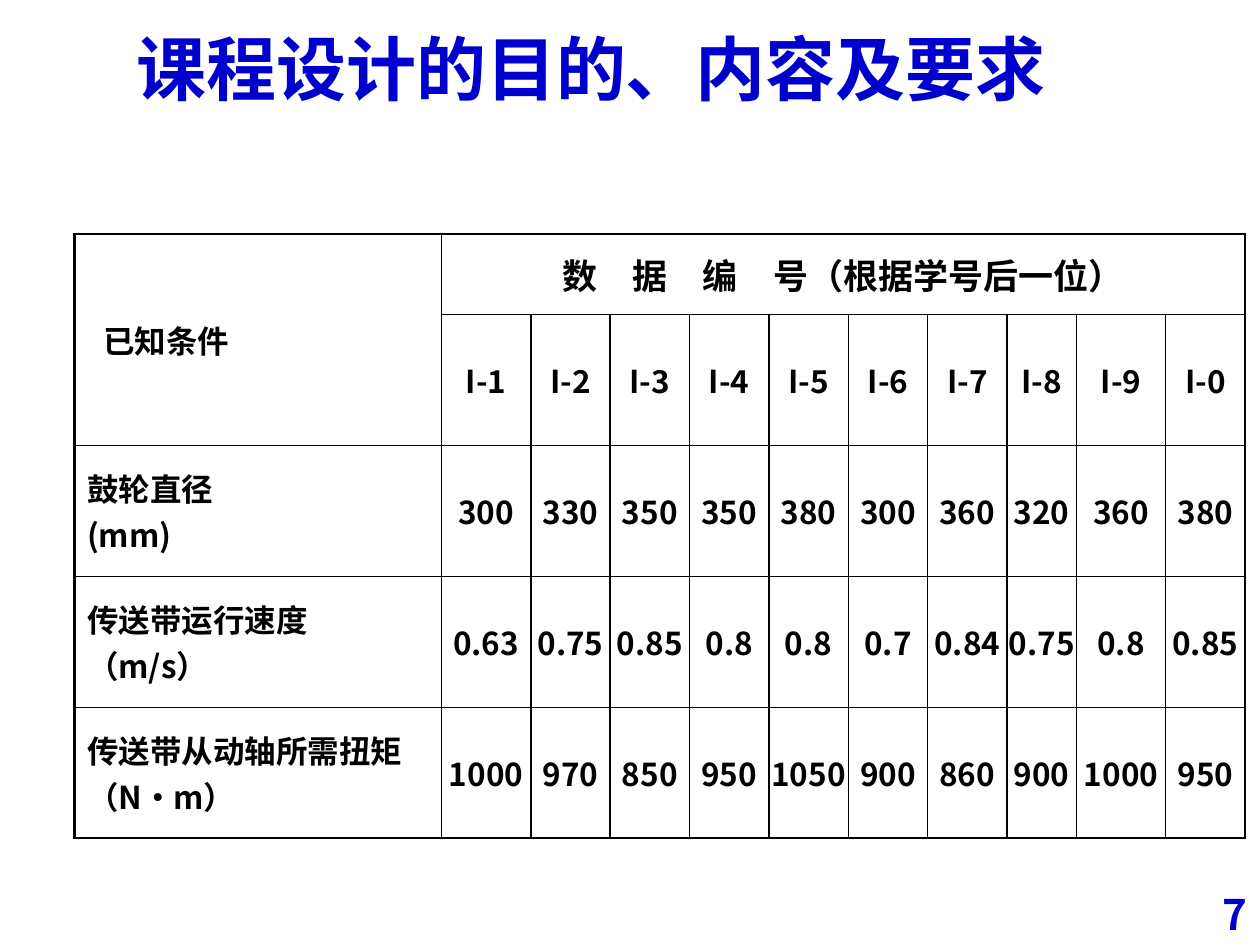
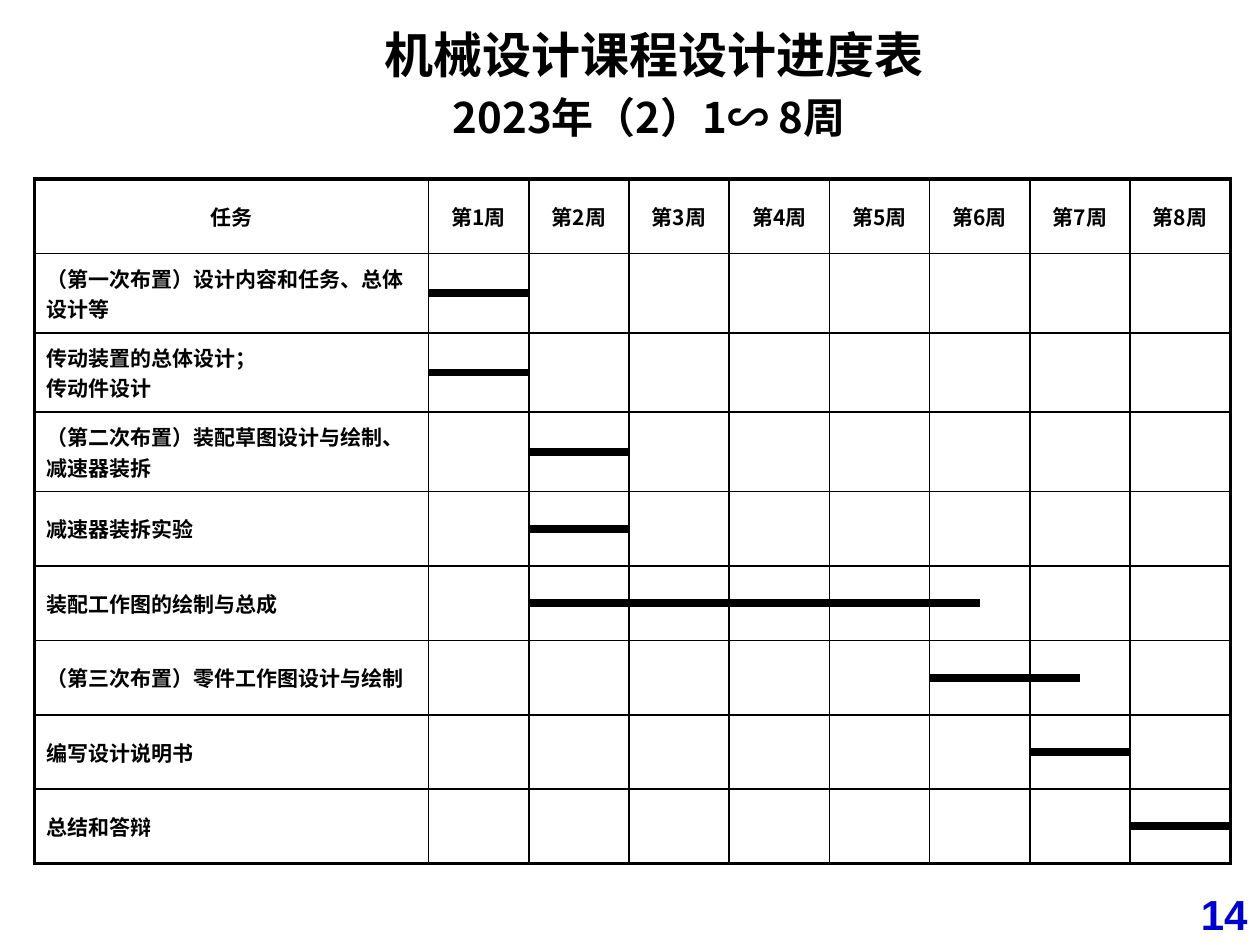
from lxml.etree import SubElement
from pptx import Presentation
from pptx.dml.color import RGBColor
from pptx.enum.shapes import MSO_CONNECTOR
from pptx.enum.text import MSO_ANCHOR, MSO_AUTO_SIZE, PP_ALIGN
from pptx.oxml.ns import qn
from pptx.util import Cm, Pt

# Shared look
FONT = "Noto Sans CJK SC"
BLUE, BLACK = "0000CC", "000000"
rgb = RGBColor.from_string


def add_run(paragraph, text, size, color=BLACK, font=FONT):
    run = paragraph.add_run()
    run.text = text
    run.font.size = Pt(size)
    run.font.bold = True
    run.font.color.rgb = rgb(color)
    run.font.name = font
    SubElement(run.font._element, qn("a:ea"), typeface=font)


def add_grid(slide, left, top, widths, heights, rows, size, outer, merges=()):
    """Draw a ruled table: labels on the left, centred values, a heavier frame."""
    frame = slide.shapes.add_table(len(heights), len(widths), Cm(left), Cm(top),
                                   Cm(sum(widths)), Cm(sum(heights)))
    table = frame.table
    table.first_row = table.horz_banding = False
    for column, width in zip(table.columns, widths):
        column.width = Cm(width)
    for row, height in zip(table.rows, heights):
        row.height = Cm(height)
    for start, end in merges:
        table.cell(*start).merge(table.cell(*end))

    for r, texts in enumerate(rows):
        for c, text in enumerate(texts):
            cell = table.cell(r, c)
            on_frame = {
                "L": c == 0,
                "R": c + cell.span_width == len(widths),
                "T": r == 0,
                "B": r + cell.span_height == len(heights),
            }
            properties = cell._tc.get_or_add_tcPr()
            for side, heavy in on_frame.items():
                line = SubElement(properties, qn(f"a:ln{side}"),
                                  w=str(Pt(outer if heavy else 1)))
                fill = SubElement(line, qn("a:solidFill"))
                SubElement(fill, qn("a:srgbClr"), val=BLACK)
            cell.fill.background()
            cell.vertical_anchor = MSO_ANCHOR.MIDDLE
            if c > 0:
                cell.margin_left = cell.margin_right = 0
            if not text:
                continue
            for i, line_text in enumerate(text.split("\n")):
                text_frame = cell.text_frame
                paragraph = text_frame.add_paragraph() if i else text_frame.paragraphs[0]
                paragraph.alignment = PP_ALIGN.CENTER if c else PP_ALIGN.LEFT
                add_run(paragraph, line_text, size)
    return table


presentation = Presentation()
presentation.slide_width, presentation.slide_height = Cm(25.4), Cm(19.05)
title_only = presentation.slide_layouts[5]

# Titles and page numbers: box, anchor, wrap, line spacing, lines, page, page font
headings = [
    ((1.12, 0.64, 21.59, 1.7), MSO_ANCHOR.BOTTOM, True, 1.0,
     [("课程设计的目的、内容及要求", 40, BLUE)], "7", FONT),
    ((7.42, 0.18, 11.53, 2.82), MSO_ANCHOR.MIDDLE, False, 1.15,
     [("机械设计课程设计进度表", 28, BLACK), ("2023年（2）1∽ 8周 ", 24, BLACK)],
     "14", "Arial"),
]
slides = []
for box, anchor, wrap, spacing, lines, page, page_font in headings:
    slide = presentation.slides.add_slide(title_only)
    slides.append(slide)
    title = slide.shapes.title
    title.left, title.top, title.width, title.height = map(Cm, box)
    text_frame = title.text_frame
    text_frame.auto_size = MSO_AUTO_SIZE.NONE
    text_frame.word_wrap = wrap
    text_frame.vertical_anchor = anchor
    for i, (text, size, color) in enumerate(lines):
        paragraph = text_frame.add_paragraph() if i else text_frame.paragraphs[0]
        paragraph.alignment = PP_ALIGN.CENTER
        paragraph.line_spacing = spacing
        add_run(paragraph, text, size, color)

    number_frame = slide.shapes.add_textbox(Cm(23.29), Cm(17.78), Cm(2.11), Cm(1.27)).text_frame
    number_frame.word_wrap = True
    number_frame.vertical_anchor = MSO_ANCHOR.BOTTOM
    number_frame.paragraphs[0].alignment = PP_ALIGN.RIGHT
    add_run(number_frame.paragraphs[0], page, 24, BLUE, page_font)

data_slide, schedule_slide = slides

# Design data by student number
data_rows = [
    ["已知条件", "数　据　编　号（根据学号后一位）"] + [""] * 9,
    [""] + [f"I-{n % 10}" for n in range(1, 11)],
    ["鼓轮直径\n(mm)", "300", "330", "350", "350", "380", "300", "360", "320", "360", "380"],
    ["传送带运行速度\n（m/s）", "0.63", "0.75", "0.85", "0.8", "0.8", "0.7", "0.84", "0.75",
     "0.8", "0.85"],
    ["传送带从动轴所需扭矩\n（N•m）", "1000", "970", "850", "950", "1050", "900", "860", "900",
     "1000", "950"],
]
data_table = add_grid(
    data_slide, 1.5, 4.72, [7.4, 1.8] + [1.6] * 6 + [1.4, 1.8, 1.6], [1.62] + [2.64] * 4,
    data_rows, 18, 1.5, merges=[((0, 0), (1, 0)), ((0, 1), (0, 10))])
data_table.cell(0, 0).margin_left = Cm(0.58)
data_table.cell(0, 1).text_frame.paragraphs[0].runs[0].font.size = Pt(20)

# Schedule: task, first and last moment in weeks
tasks = [
    ("（第一次布置）设计内容和任务、总体设计等", 0, 1),
    ("传动装置的总体设计；\n传动件设计", 0, 1),
    ("（第二次布置）装配草图设计与绘制、减速器装拆", 1, 2),
    ("减速器装拆实验", 1, 2),
    ("装配工作图的绘制与总成", 1, 5.5),
    ("（第三次布置）零件工作图设计与绘制", 5, 6.5),
    ("编写设计说明书", 6, 7),
    ("总结和答辩", 7, 8),
]
WEEKS, WEEK_WIDTH, TASK_WIDTH = 8, 2.02, 7.95
left, top = 0.69, 3.61
heights = [1.5] + [1.6] * 3 + [1.5] * 5
schedule_rows = [["任务"] + [f"第{week}周" for week in range(1, WEEKS + 1)]]
schedule_rows += [[task] + [""] * WEEKS for task, _, _ in tasks]
schedule_table = add_grid(schedule_slide, left, top, [TASK_WIDTH] + [WEEK_WIDTH] * WEEKS,
                          heights, schedule_rows, 12, 2.25)
schedule_table.cell(0, 0).text_frame.paragraphs[0].alignment = PP_ALIGN.CENTER

# Bars through the middle of each task row
for row, (_, start, end) in enumerate(tasks, 1):
    y = Cm(top + sum(heights[:row]) + heights[row] / 2)
    x_start, x_end = (Cm(left + TASK_WIDTH + WEEK_WIDTH * week) for week in (start, end))
    bar = schedule_slide.shapes.add_connector(MSO_CONNECTOR.STRAIGHT, x_start, y, x_end, y)
    bar.line.color.rgb = rgb(BLACK)
    bar.line.width = Pt(4.5)
    SubElement(bar._element.spPr, qn("a:effectLst"))

presentation.save("out.pptx")
